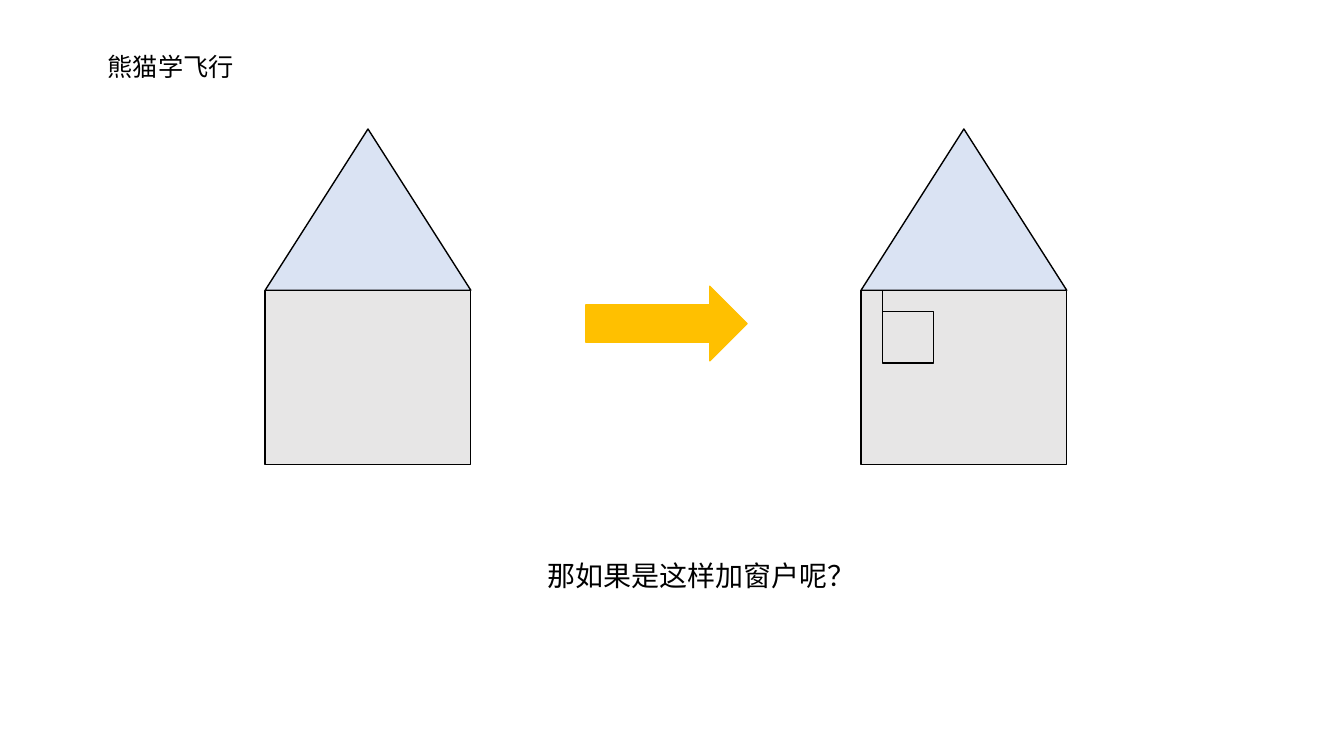
"""Build the slide that asks how a window is added to a house."""
from dataclasses import dataclass
from typing import Any, Optional

import pptx
import pptx.dml.color
import pptx.enum.shapes
import pptx.enum.text
import pptx.oxml
import pptx.oxml.ns
import pptx.util
from pptx.util import Inches

RGBColor = pptx.dml.color.RGBColor
MSO_SHAPE = pptx.enum.shapes.MSO_SHAPE

BLACK = RGBColor(0x00, 0x00, 0x00)
ROOF_BLUE = RGBColor(0xDA, 0xE3, 0xF3)
WALL_GREY = RGBColor(0xE7, 0xE6, 0xE6)
ARROW_GOLD = RGBColor(0xFF, 0xC0, 0x00)
FONT = "Noto Sans CJK SC"

HOUSE_LEFTS = (2.63, 8.54)
HOUSE_WIDTH = 2.04
ROOF_TOP, ROOF_HEIGHT = 1.28, 1.6
WALL_TOP, WALL_HEIGHT = ROOF_TOP + ROOF_HEIGHT, 1.73
WINDOW_INSET, WINDOW_SIZE = 0.21, 0.51
STRING_LENGTH = 0.33


@dataclass(frozen=True)
class Box:
    left: float
    top: float
    width: float
    height: float


@dataclass(frozen=True)
class Block:
    kind: Any
    box: Box
    fill: Optional[RGBColor]
    line: RGBColor = BLACK


@dataclass(frozen=True)
class Label:
    text: str
    box: Box
    size: int
    wrap: bool


def set_format(target: Any, values: dict[str, Any]) -> None:
    for name, value in values.items():
        setattr(target, name, value)


def lengths(box: Box) -> tuple[int, ...]:
    return tuple(Inches(v) for v in (box.left, box.top, box.width, box.height))


def draw_block(shapes: Any, block: Block) -> None:
    sp = shapes.add_shape(block.kind, *lengths(block.box))
    sp.shadow.inherit = False
    if block.fill is None:
        sp.fill.background()
    else:
        sp.fill.solid()
        sp.fill.fore_color.rgb = block.fill
    sp.line.color.rgb = block.line
    sp.line.width = pptx.util.Pt(1)


def draw_label(shapes: Any, label: Label) -> None:
    tf = shapes.add_textbox(*lengths(label.box)).text_frame
    set_format(tf, {"word_wrap": label.wrap,
                    "auto_size": pptx.enum.text.MSO_AUTO_SIZE.SHAPE_TO_FIT_TEXT})
    r = tf.paragraphs[0].add_run()
    r.text = label.text
    set_format(r.font, {"name": FONT, "size": pptx.util.Pt(label.size)})
    r.font.color.rgb = BLACK
    ea = pptx.oxml.parse_xml(f'<a:ea {pptx.oxml.ns.nsdecls("a")} typeface="{FONT}"/>')
    r.font._element.append(ea)


def draw_house(shapes: Any, left: float) -> Any:
    house = shapes.add_group_shape().shapes
    draw_block(house, Block(MSO_SHAPE.ISOSCELES_TRIANGLE,
                            Box(left, ROOF_TOP, HOUSE_WIDTH, ROOF_HEIGHT), ROOF_BLUE))
    draw_block(house, Block(MSO_SHAPE.RECTANGLE,
                            Box(left, WALL_TOP, HOUSE_WIDTH, WALL_HEIGHT), WALL_GREY))
    return house


def draw_window(house: Any, house_left: float) -> None:
    left = house_left + WINDOW_INSET
    draw_block(house, Block(MSO_SHAPE.RECTANGLE,
                            Box(left, WALL_TOP + WINDOW_INSET, WINDOW_SIZE, WINDOW_SIZE), None))
    string = house.add_connector(
        pptx.enum.shapes.MSO_CONNECTOR.STRAIGHT,
        Inches(left), Inches(WALL_TOP), Inches(left), Inches(WALL_TOP + STRING_LENGTH))
    string.line.color.rgb = BLACK
    string.line.width = pptx.util.Pt(0.5)
    string._element.spPr.append(
        pptx.oxml.parse_xml(f'<a:effectLst {pptx.oxml.ns.nsdecls("a")}/>'))


def main() -> None:
    prs = pptx.Presentation()
    set_format(prs, {"slide_width": Inches(13.33), "slide_height": Inches(7.5)})
    s = prs.slides.add_slide(prs.slide_layouts[6])

    draw_label(s.shapes, Label("熊猫学飞行", Box(0.97, 0.46, 4.08, 0.4), 18, True))
    draw_block(s.shapes, Block(MSO_SHAPE.RIGHT_ARROW, Box(5.81, 2.84, 1.6, 0.74),
                               ARROW_GOLD, ARROW_GOLD))
    draw_label(s.shapes, Label("那如果是这样加窗户呢？", Box(5.33, 5.49, 3.29, 0.44), 20, False))

    houses = [draw_house(s.shapes, left) for left in HOUSE_LEFTS]
    draw_window(houses[-1], HOUSE_LEFTS[-1])

    prs.save("out.pptx")


if __name__ == "__main__":
    main()
